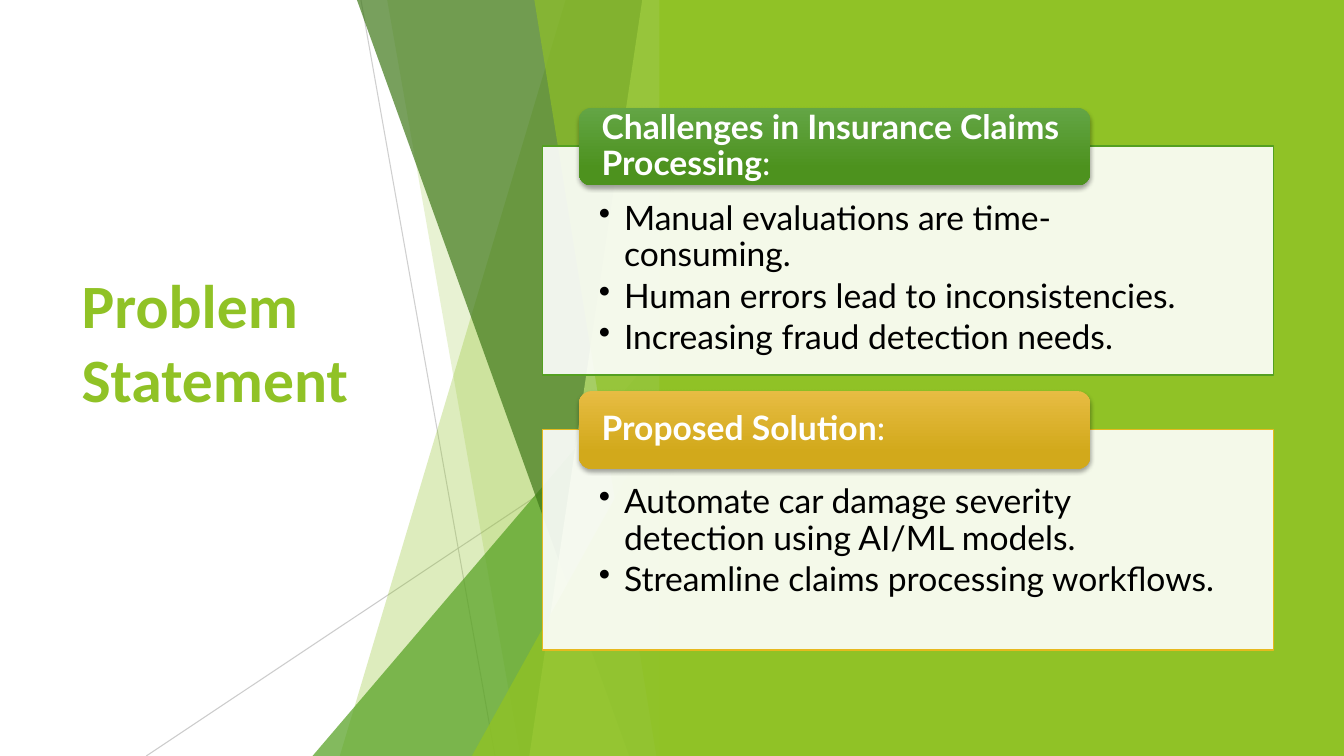
import pptx
import pptx.dml.color
import pptx.enum.shapes
import pptx.enum.text
import pptx.oxml
import pptx.oxml.ns
import pptx.util

Inches = pptx.util.Inches
Pt = pptx.util.Pt
SHAPES = pptx.enum.shapes.MSO_SHAPE
ANCHORS = pptx.enum.text.MSO_ANCHOR
ALIGNMENTS = pptx.enum.text.PP_ALIGN
NAMESPACE = pptx.oxml.ns.nsdecls("a")

LIME, GREEN, DARK_GREEN, PALE_LIME, GOLD = "90C226", "54A021", "3F7819", "C0E474", "E6B91E"
WHITE, BLACK, GREY = "FFFFFF", "000000", "BFBFBF"

BANDS_AND_TRIANGLES = [
    ("band", 2.51, 0.27, LIME, 30),
    ("band", 0.74, 2.06, LIME, 20),
    ("triangle", 0, 3.33, GREEN, 72),
    ("band", 0.44, 3.14, DARK_GREEN, 70),
    ("band", 3.27, 2.15, PALE_LIME, 70),
    ("band", 2.2, 3.41, LIME, 65),
    ("triangle", 1.58, 3.93, LIME, 80),
]
HAIRLINES = [(0.48, 0, 1.81, 7.5, 75), (3.56, 4.03, -1.65, 7.5, 80)]

PANELS = [
    (1.45, 2.27, GREEN, ("63A545", "4D921E"), "Challenges in Insurance Claims Processing",
     ["Manual evaluations are time-consuming.",
      "Human errors lead to inconsistencies.",
      "Increasing fraud detection needs."]),
    (4.26, 2.19, GOLD, ("E7BC43", "D2A91B"), "Proposed Solution",
     ["Automate car damage severity detection using AI/ML models.",
      "Streamline claims processing workflows."]),
]


def set_colour(target, value, opacity=100):
    """Give a fill, line fill or font fill a solid colour with an opacity in percent."""
    target.solid()
    target.fore_color.rgb = pptx.dml.color.RGBColor.from_string(value)
    if opacity < 100:
        colour = target._xPr.find(".//" + pptx.oxml.ns.qn("a:srgbClr"))
        colour.append(pptx.oxml.parse_xml(f'<a:alpha {NAMESPACE} val="{opacity * 1000}"/>'))


def finish_shape(shape, fill, opacity=100, line=None):
    """Replace the default look of a shape with a plain fill and an optional outline."""
    shape.shadow.inherit = False
    set_colour(shape.fill, fill, opacity)
    if line:
        set_colour(shape.line.fill, line)
        shape.line.width = Pt(1)
    else:
        shape.line.fill.background()


def add_preset(slide, preset, left, top, width, height):
    """Add a preset shape measured in inches."""
    return slide.shapes.add_shape(preset, *map(Inches, (left, top, width, height)))


def add_run(paragraph, text, font, size, colour, bold=False):
    """Add one formatted run to a paragraph."""
    run = paragraph.add_run()
    run.text = text
    run.font.name = font
    run.font.size = Pt(size)
    run.font.bold = bold
    set_colour(run.font.fill, colour)


def set_frame(shape, anchor, left, top, right, bottom):
    """Set wrapping, anchor and insets of a text frame."""
    frame = shape.text_frame
    frame.word_wrap = True
    frame.auto_size = pptx.enum.text.MSO_AUTO_SIZE.NONE
    frame.vertical_anchor = anchor
    frame.margin_left, frame.margin_top = Inches(left), Inches(top)
    frame.margin_right, frame.margin_bottom = Inches(right), Inches(bottom)
    return frame


def add_title(slide, left, top, width, height):
    """Place and format the title placeholder."""
    title = slide.shapes.title
    title.left, title.top = Inches(left), Inches(top)
    title.width, title.height = Inches(width), Inches(height)
    frame = set_frame(title, ANCHORS.MIDDLE, 0.1, 0.05, 0.1, 0.78)
    paragraph = frame.paragraphs[0]
    paragraph.alignment = ALIGNMENTS.LEFT
    paragraph.line_spacing = 1.0
    add_run(paragraph, "Problem Statement", "Calibri", 44, LIME, True)


def add_facets(slide, left, top, width, height):
    """Draw the hairlines and the overlapping translucent facets."""
    for start_x, start_y, end_x, end_y, opacity in HAIRLINES:
        connector = slide.shapes.add_connector(
            pptx.enum.shapes.MSO_CONNECTOR.STRAIGHT,
            *map(Inches, (left + start_x, top + start_y, left + end_x, top + end_y)))
        set_colour(connector.line.fill, GREY, opacity)
        connector.line.width = Pt(0.75)
        connector._element.spPr.append(pptx.oxml.parse_xml(f"<a:effectLst {NAMESPACE}/>"))
    for kind, first, second, colour, opacity in BANDS_AND_TRIANGLES:
        if kind == "band":
            corners = [(first, 0), (width, 0), (width, height), (second, height)]
            points = [(Inches(left + x), Inches(top + y)) for x, y in corners]
            builder = slide.shapes.build_freeform(*points[0])
            builder.add_line_segments(points[1:], close=True)
            facet = builder.convert_to_shape()
        else:
            facet = add_preset(slide, SHAPES.ISOSCELES_TRIANGLE, left + first, top + second,
                               width - first, height - second)
            facet.adjustments[0] = 1
        finish_shape(facet, colour, opacity)


def add_backdrop(slide, left, top, width, height):
    """Draw the plain area behind the panels."""
    finish_shape(add_preset(slide, SHAPES.RECTANGLE, left, top, width, height), LIME)


def add_bullets(panel, points):
    """Fill a panel with bulleted paragraphs."""
    frame = set_frame(panel, ANCHORS.TOP, 0.56, 0.55, 0.56, 0.19)
    for index, point in enumerate(points):
        paragraph = frame.add_paragraph() if index else frame.paragraphs[0]
        paragraph.level = 1
        paragraph.alignment = ALIGNMENTS.LEFT
        paragraph.line_spacing = 0.9
        paragraph.space_after = Pt(3.6)
        properties = paragraph._p.get_or_add_pPr()
        properties.set("marL", str(Inches(0.25)))
        properties.set("indent", str(Inches(-0.25)))
        properties.append(pptx.oxml.parse_xml(f'<a:buChar {NAMESPACE} char="•"/>'))
        add_run(paragraph, point, "Lato", 24, BLACK)


def add_heading(slide, left, top, width, height, gradient, text):
    """Draw a rounded heading with a gradient and a soft shadow."""
    heading = add_preset(slide, SHAPES.ROUNDED_RECTANGLE, left, top, width, height)
    finish_shape(heading, gradient[0])
    heading.fill.gradient()
    heading.fill.gradient_angle = 270
    for stop, position, value in zip(heading.fill.gradient_stops, (0, 0.78), gradient):
        stop.position = position
        stop.color.rgb = pptx.dml.color.RGBColor.from_string(value)
    effects = heading._element.spPr.find(pptx.oxml.ns.qn("a:effectLst"))
    effects.append(pptx.oxml.parse_xml(
        f'<a:outerShdw {NAMESPACE} blurRad="{Pt(3)}" dist="{Pt(2)}" dir="5400000" rotWithShape="0">'
        f'<a:srgbClr val="{BLACK}"><a:alpha val="35000"/></a:srgbClr></a:outerShdw>'))
    paragraph = set_frame(heading, ANCHORS.MIDDLE, 0.19, 0, 0.19, 0).paragraphs[0]
    paragraph.alignment = ALIGNMENTS.LEFT
    paragraph.line_spacing = 0.9
    add_run(paragraph, text, "Lato", 24, WHITE, True)
    add_run(paragraph, ":", "Lato", 24, WHITE)


def add_panel(slide, left, top, width, height, line, gradient, heading, points):
    """Draw a bulleted panel with its heading across the top edge."""
    panel = add_preset(slide, SHAPES.RECTANGLE, left, top, width, height)
    finish_shape(panel, WHITE, 90, line)
    add_bullets(panel, points)
    add_heading(slide, left + 0.36, top - 0.38, 0.7 * width, 0.77, gradient, heading)


def main():
    """Build the slide and save it."""
    presentation = pptx.Presentation()
    presentation.slide_width, presentation.slide_height = Inches(13.33), Inches(7.5)
    slide = presentation.slides.add_slide(presentation.slide_layouts.get_by_name("Title Only"))
    add_title(slide, 0.71, 1.51, 3.88, 4.48)
    add_facets(slide, 3.1, 0, 3.56, 7.5)
    add_backdrop(slide, 6.54, 0, 6.79, 7.5)
    for top, height, *content in PANELS:
        add_panel(slide, 5.38, top, 7.25, height, *content)
    presentation.save("out.pptx")


if __name__ == "__main__":
    main()
